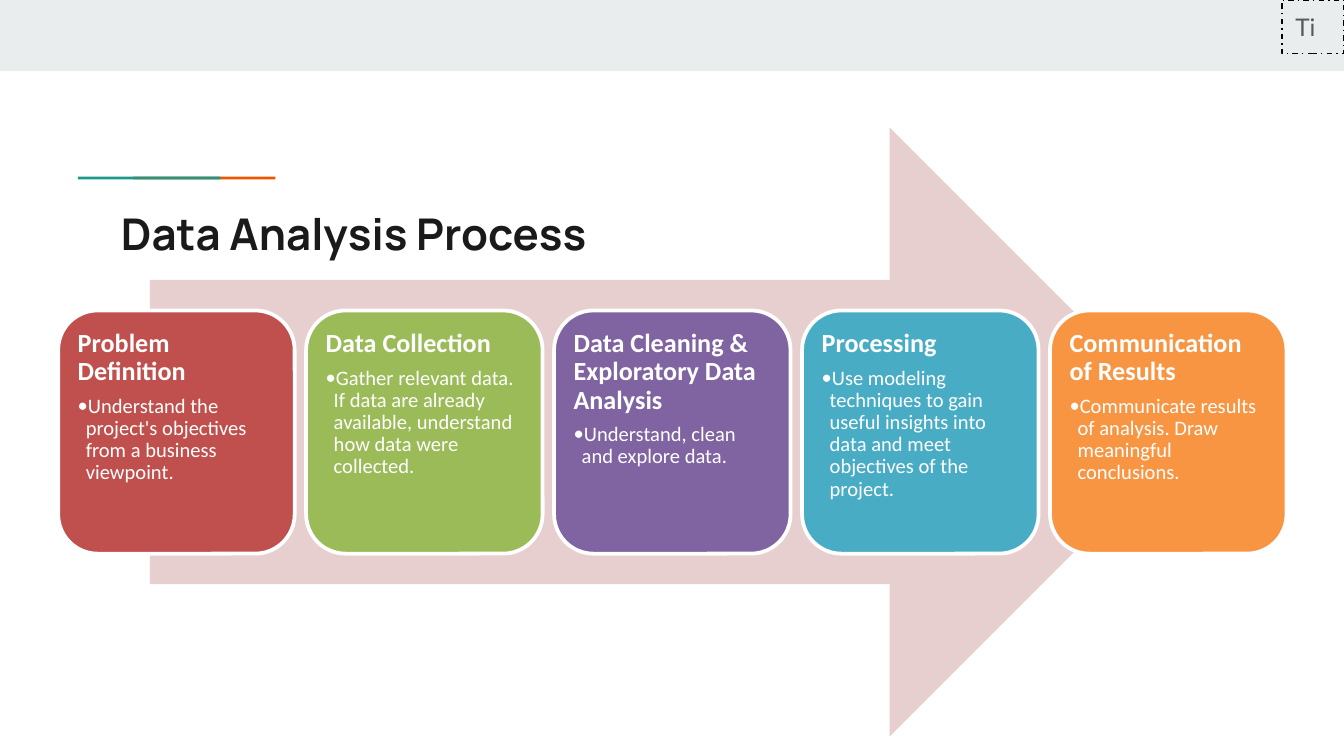
from lxml import etree
from pptx import Presentation
from pptx.dml.color import RGBColor
from pptx.enum.dml import MSO_LINE
from pptx.enum.shapes import MSO_SHAPE
from pptx.enum.text import MSO_ANCHOR, MSO_AUTO_SIZE, PP_ALIGN
from pptx.oxml.ns import qn
from pptx.util import Inches, Pt

RECT = MSO_SHAPE.RECTANGLE
ROUND = MSO_SHAPE.ROUNDED_RECTANGLE
ARROW = MSO_SHAPE.RIGHT_ARROW
TOP, MIDDLE = MSO_ANCHOR.TOP, MSO_ANCHOR.MIDDLE
LEFT = PP_ALIGN.LEFT
DASH = MSO_LINE.DASH_DOT
NO_FIT = MSO_AUTO_SIZE.NONE

WHITE = RGBColor(0xFF, 0xFF, 0xFF)
BLACK = RGBColor(0, 0, 0)
INK = RGBColor(0x1A, 0x1A, 0x1A)
GRAY = RGBColor(0x59, 0x59, 0x59)
MIST = RGBColor(0xE9, 0xED, 0xEE)
ROSE = RGBColor(0xE7, 0xCF, 0xCF)
RUST = RGBColor(0xEB, 0x56, 0x00)
TEAL = RGBColor(0x1A, 0x99, 0x88)
RED = RGBColor(0xBF, 0x50, 0x4D)
GREEN = RGBColor(0x9B, 0xBB, 0x59)
PURPLE = RGBColor(0x80, 0x64, 0xA2)
BLUE = RGBColor(0x49, 0xAC, 0xC5)
ORANGE = RGBColor(0xF7, 0x95, 0x43)

COLS, ROWS = 100, 56.25
CELL = 0.1  # inches per grid cell

STEPS = [
    ("Problem Definition", RED,
     "Understand the project's objectives from a business viewpoint."),
    ("Data Collection", GREEN,
     "Gather relevant data. If data are already available, "
     "understand how data were collected."),
    ("Data Cleaning & Exploratory Data Analysis", PURPLE,
     "Understand, clean and explore data."),
    ("Processing", BLUE,
     "Use modeling techniques to gain useful insights into data "
     "and meet objectives of the project."),
    ("Communication of Results", ORANGE,
     "Communicate results of analysis. Draw meaningful conclusions."),
]


def cells(count):
    return Inches(count * CELL)


class Deck:
    """Holds the style and the current slide; lengths are in grid cells."""

    def __init__(self):
        self.file = Presentation()
        self.file.slide_width = cells(COLS)
        self.file.slide_height = cells(ROWS)
        self.slide = self.file.slides.add_slide(self.file.slide_layouts[5])

    def font(self, par, name, size, color, bold=False):
        par.alignment = LEFT
        par.font.name = name
        par.font.size = Pt(size)
        par.font.color.rgb = color
        par.font.bold = bold

    def frame(self, shape, inset, anchor):
        frame = shape.text_frame
        frame.word_wrap = True
        frame.auto_size = NO_FIT
        frame.vertical_anchor = anchor
        frame.margin_left = frame.margin_right = cells(inset)
        frame.margin_top = frame.margin_bottom = cells(inset)
        return frame

    def title(self, text, x, y, w, h):
        shape = self.slide.shapes.title
        shape.left, shape.top = cells(x), cells(y)
        shape.width, shape.height = cells(w), cells(h)
        frame = self.frame(shape, 1, TOP)
        frame.text = text
        self.font(frame.paragraphs[0], "Manrope", 23.4, INK, True)

    def block(self, kind, x, y, w, h, fill=None, line=None, width=1):
        shape = self.slide.shapes.add_shape(
            kind, cells(x), cells(y), cells(w), cells(h))
        shape.shadow.inherit = False
        if fill is None:
            shape.fill.background()
        else:
            shape.fill.solid()
            shape.fill.fore_color.rgb = fill
        if line is None:
            shape.line.fill.background()
        else:
            shape.line.color.rgb = line
            shape.line.width = Pt(width)
        return shape

    def bullet(self, par):
        props = par._p.get_or_add_pPr()
        props.set("marL", str(cells(0.6)))
        props.set("indent", str(cells(-0.8)))
        color = etree.SubElement(props, qn("a:buClr"))
        etree.SubElement(color, qn("a:srgbClr"), val=str(WHITE))
        etree.SubElement(props, qn("a:buFont"), typeface="Calibri")
        etree.SubElement(props, qn("a:buChar"), char="•")

    def card(self, head, note, fill, x, y, w, h):
        shape = self.block(ROUND, x, y, w, h, fill, WHITE, 2)
        frame = self.frame(shape, 0.6, TOP)
        top = frame.paragraphs[0]
        top.text = head
        top.line_spacing = 0.9
        self.font(top, "Calibri", 14, WHITE, True)
        item = frame.add_paragraph()
        item.text = note
        item.level = 1
        item.line_spacing = 0.9
        item.space_before = Pt(4.9)
        self.bullet(item)
        self.font(item, "Calibri", 11, WHITE)

    def tag(self, text, x, y, w, h):
        shape = self.block(RECT, x, y, w, h, line=BLACK, width=0.75)
        shape.line.dash_style = DASH
        frame = self.frame(shape, 1, MIDDLE)
        frame.text = text
        self.font(frame.paragraphs[0], "Lato", 13, GRAY)


def main():
    deck = Deck()

    # Top band and two-tone accent
    deck.block(RECT, 0, 0, COLS, 5.3, MIST)
    deck.block(RECT, 9.9, 13.15, 10.6, 0.2, RUST)
    deck.block(RECT, 5.8, 13.15, 10.6, 0.2, TEAL)

    deck.title("Data Analysis Process", 8, 14.4, 84.1, 5.9)

    # Process arrow with one card per step
    deck.block(ARROW, 11.15, 9.5, 77.7, 45.3, ROSE)
    for col, (head, fill, note) in enumerate(STEPS):
        deck.card(head, note, fill, 4.33 + col * 18.45, 23.1, 17.6, 18.1)

    # Corner tag
    deck.tag("Ti", 95.4, 0, 4.6, 4)

    deck.file.save("out.pptx")


if __name__ == "__main__":
    main()
